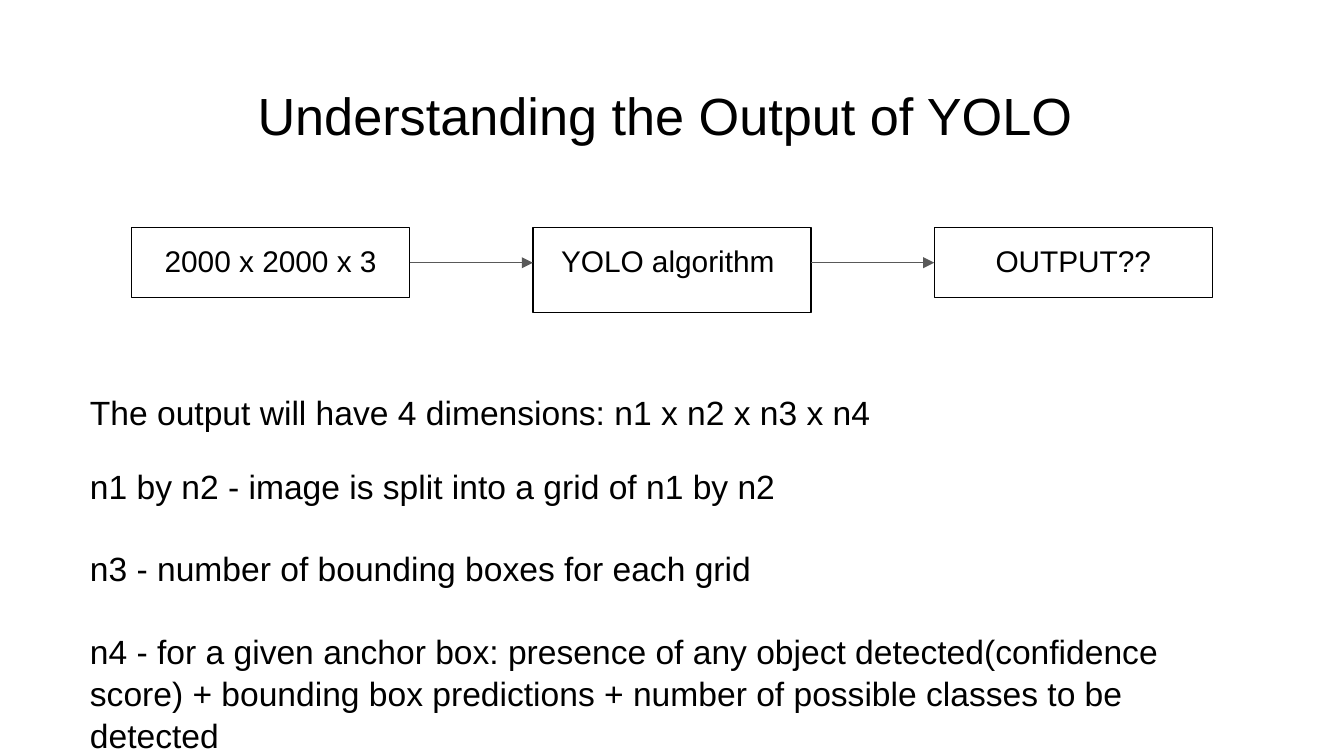
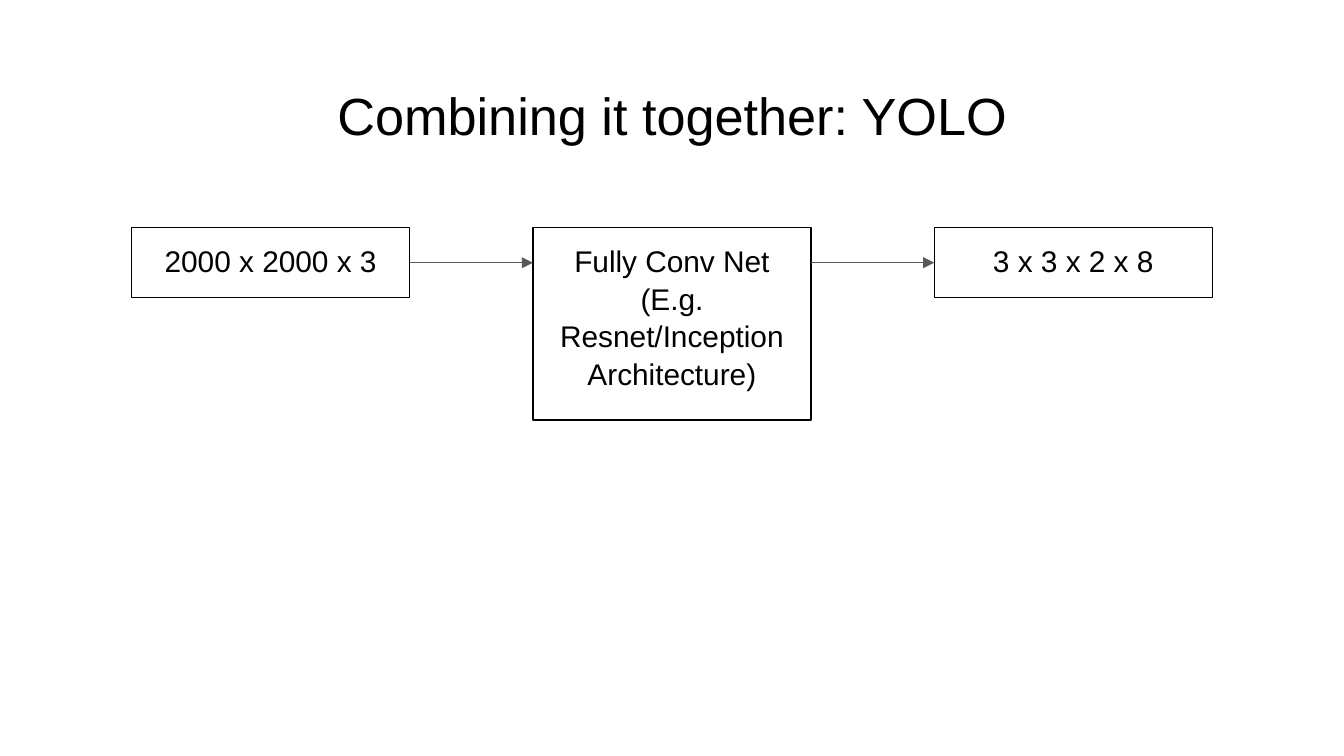
from dataclasses import dataclass

from pptx import Presentation
from pptx.dml.color import RGBColor
from pptx.enum.shapes import MSO_CONNECTOR, MSO_SHAPE
from pptx.enum.text import MSO_ANCHOR, MSO_AUTO_SIZE, PP_ALIGN
from pptx.oxml.ns import qn
from pptx.shapes.autoshape import Shape
from pptx.slide import Slide
from pptx.util import Pt
from lxml.etree import SubElement

BLACK = RGBColor(0x00, 0x00, 0x00)
WHITE = RGBColor(0xFF, 0xFF, 0xFF)
ARROW_GRAY = RGBColor(0x59, 0x59, 0x59)
FONT = "Arial"
INSET = Pt(7.2)
LINE_SPACING = 1.05
LINE_WIDTH = Pt(0.75)

# Layouts of the default template
TITLE_AND_CONTENT = 1
TITLE_ONLY = 5

# The row of boxes
FLOW_LEFT = Pt(70.5)
FLOW_TOP = Pt(122)
FLOW_STEP = Pt(215)
BOX_WIDTH = Pt(149)
BOX_HEIGHT = Pt(37.5)


@dataclass
class Step:
    lines: list[str]
    height: int = BOX_HEIGHT


@dataclass
class BodyLine:
    text: str
    space_before: float


def write_text(shape: Shape, lines: list[str], size: float, alignment: PP_ALIGN) -> None:
    frame = shape.text_frame
    frame.auto_size = MSO_AUTO_SIZE.NONE
    frame.word_wrap = True
    frame.vertical_anchor = MSO_ANCHOR.TOP
    frame.margin_left = frame.margin_right = INSET
    frame.margin_top = frame.margin_bottom = INSET
    frame.text = "\n".join(lines)
    for paragraph in frame.paragraphs:
        paragraph.alignment = alignment
        paragraph.line_spacing = LINE_SPACING
        paragraph.space_before = Pt(0)
        paragraph.font.name = FONT
        paragraph.font.size = Pt(size)
        paragraph.font.color.rgb = BLACK


def place(shape: Shape, left: float, top: float, width: float, height: float) -> None:
    shape.left, shape.top = Pt(left), Pt(top)
    shape.width, shape.height = Pt(width), Pt(height)


def add_titled_slide(presentation: Presentation, layout: int, title: str) -> Slide:
    slide = presentation.slides.add_slide(presentation.slide_layouts[layout])
    slide.background.fill.solid()
    slide.background.fill.fore_color.rgb = WHITE
    place(slide.shapes.title, 24.5, 35.5, 671, 45)
    write_text(slide.shapes.title, [title], 28, PP_ALIGN.CENTER)
    return slide


def add_box(slide: Slide, index: int, step: Step) -> Shape:
    box = slide.shapes.add_shape(
        MSO_SHAPE.RECTANGLE, FLOW_LEFT + index * FLOW_STEP, FLOW_TOP, BOX_WIDTH, step.height
    )
    box.shadow.inherit = False
    box.fill.background()
    box.line.color.rgb = BLACK
    box.line.width = LINE_WIDTH
    write_text(box, step.lines, 16, PP_ALIGN.CENTER)
    return box


def add_arrow(slide: Slide, start: Shape, end: Shape) -> None:
    middle = FLOW_TOP + BOX_HEIGHT // 2
    arrow = slide.shapes.add_connector(
        MSO_CONNECTOR.STRAIGHT, start.left + start.width, middle, end.left, middle
    )
    # Only boxes of the common height have their side middle on the arrow line
    if start.height == BOX_HEIGHT:
        arrow.begin_connect(start, 3)
    if end.height == BOX_HEIGHT:
        arrow.end_connect(end, 1)
    arrow.line.color.rgb = ARROW_GRAY
    arrow.line.width = LINE_WIDTH
    SubElement(arrow.line._get_or_add_ln(), qn("a:tailEnd"), type="triangle")
    SubElement(arrow._element.spPr, qn("a:effectLst"))


def add_flow(slide: Slide, steps: list[Step]) -> None:
    boxes = [add_box(slide, index, step) for index, step in enumerate(steps)]
    for start, end in zip(boxes, boxes[1:]):
        add_arrow(slide, start, end)


def fill_body(slide: Slide, lines: list[BodyLine]) -> None:
    body = slide.placeholders[1]
    place(body, 41, 201.5, 602.5, 175.5)
    body.text_frame.text = "\n".join(line.text for line in lines)
    write_text(body, [line.text for line in lines], 18, PP_ALIGN.LEFT)
    for paragraph, line in zip(body.text_frame.paragraphs, lines):
        paragraph.space_before = Pt(line.space_before)
        properties = paragraph._p.get_or_add_pPr()
        properties.set("marL", "0")
        properties.set("indent", "0")
        # The bullet element comes before the default run properties
        bullet = SubElement(properties, qn("a:buNone"))
        properties.find(qn("a:defRPr")).addprevious(bullet)


def build_output_slide(presentation: Presentation) -> None:
    slide = add_titled_slide(
        presentation, TITLE_AND_CONTENT, "Understanding the Output of YOLO "
    )
    add_flow(slide, [
        Step(["2000 x 2000 x 3"]),
        Step(["YOLO algorithm "], Pt(45.5)),
        Step(["OUTPUT??"]),
    ])
    fill_body(slide, [
        BodyLine("The output will have 4 dimensions: n1 x n2 x n3 x n4", 0),
        BodyLine("n1 by n2 - image is split into a grid of n1 by n2", 17),
        BodyLine("n3 - number of bounding boxes for each grid", 21.5),
        BodyLine(
            "n4 - for a given anchor box: presence of any object detected(confidence score)"
            " + bounding box predictions + number of possible classes to be detected",
            21.5,
        ),
    ])


def build_combined_slide(presentation: Presentation) -> None:
    slide = add_titled_slide(presentation, TITLE_ONLY, "Combining it together: YOLO")
    add_flow(slide, [
        Step(["2000 x 2000 x 3"]),
        Step(["Fully Conv Net", "(E.g. Resnet/Inception Architecture)"], Pt(103)),
        Step(["3 x 3 x 2 x 8"]),
    ])


def main() -> None:
    presentation = Presentation()
    presentation.slide_width = Pt(720)
    presentation.slide_height = Pt(405)
    build_output_slide(presentation)
    build_combined_slide(presentation)
    presentation.save("out.pptx")


if __name__ == "__main__":
    main()
